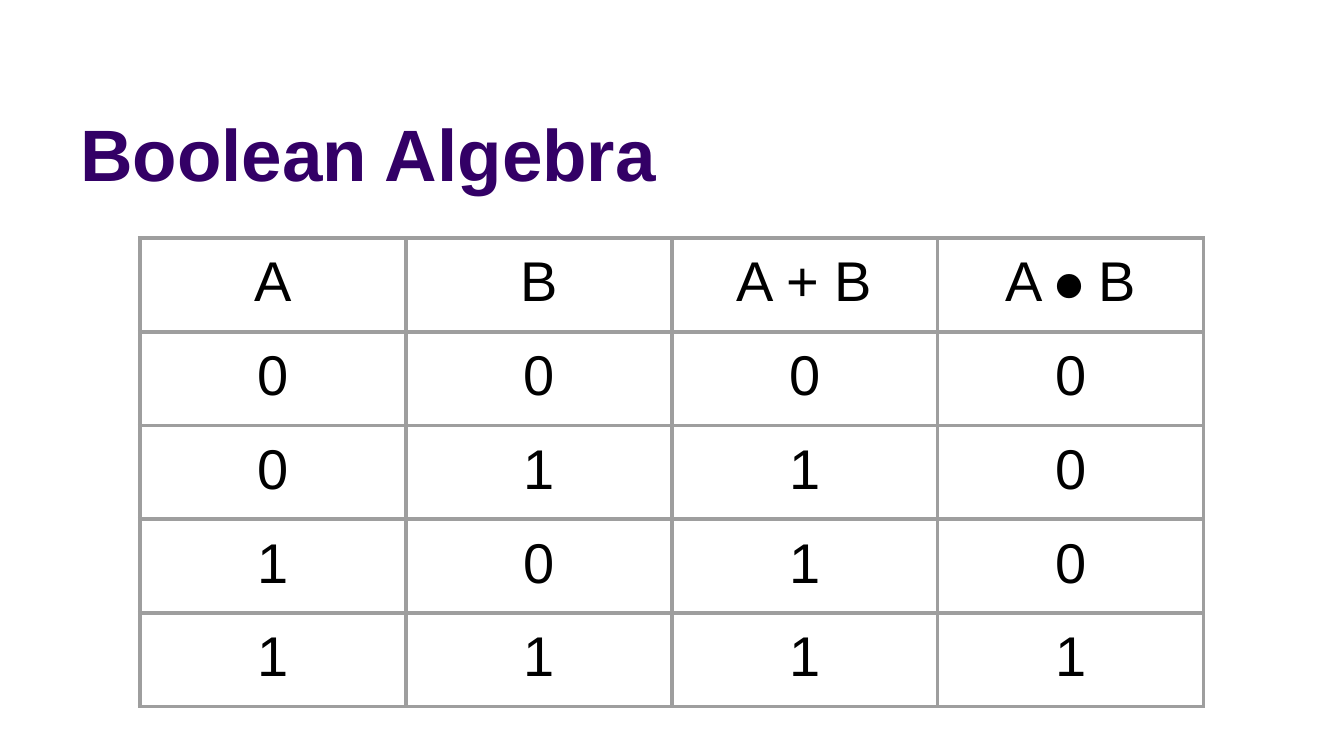
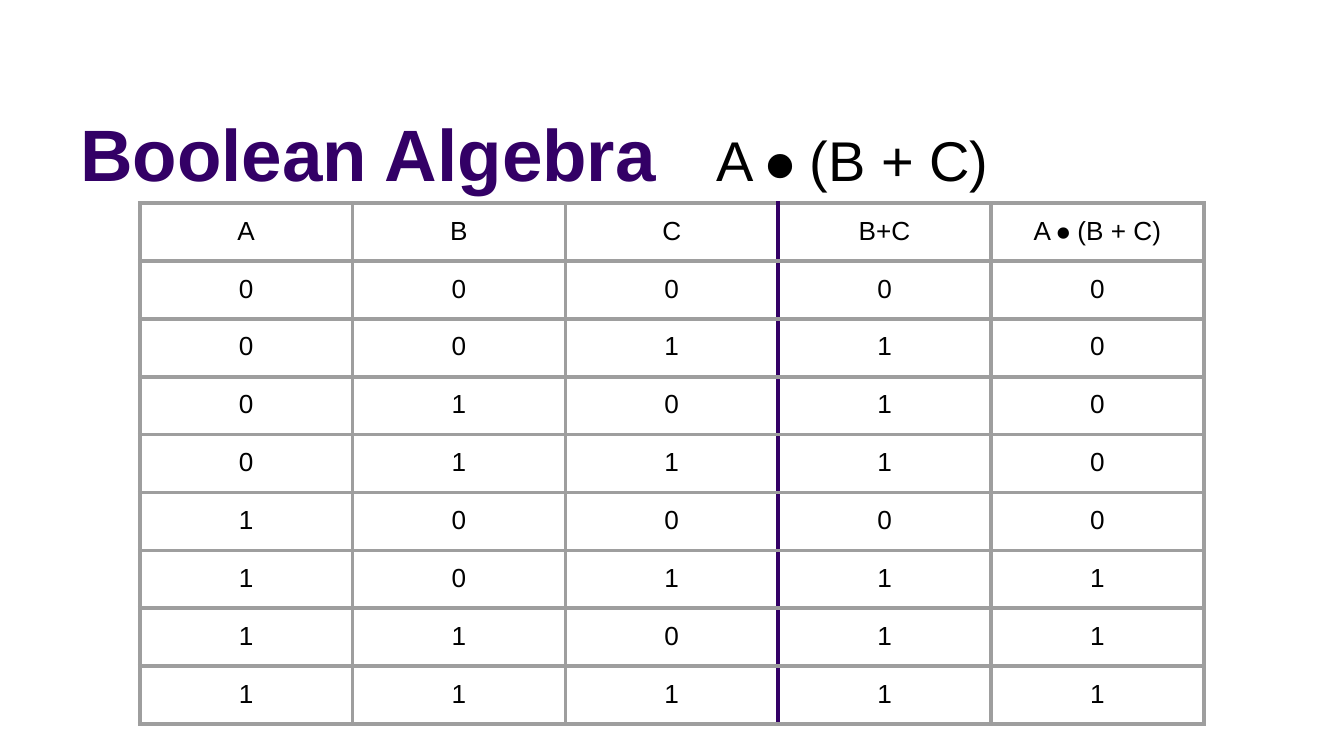
from dataclasses import dataclass
from itertools import product

from lxml.etree import SubElement as Sub
from pptx import Presentation
from pptx.dml.color import RGBColor as Rgb
from pptx.enum.text import MSO_ANCHOR as Anchor, PP_ALIGN as Align
from pptx.oxml.ns import qn
from pptx.util import Cm, Pt


@dataclass(frozen=True)
class Theme:
    """Colours, font and sizes shared by the slides."""
    purple: str = "330066"
    black: str = "000000"
    grey: str = "9E9E9E"
    font: str = "Arial"
    title_size: int = 39
    formula_size: int = 30
    large_cell: int = 30
    small_cell: int = 14
    border: float = 2.25


THEME = Theme()
TITLE = "Boolean Algebra"
FORMULA = "A \u2981 (B + C)"
TABLE_LEFT, TABLE_WIDTH, ROW_HEIGHT = 2.64, 20.11, 1.06


def add_span(para, text, size, color, bold=False):
    """Append one formatted run to a paragraph."""
    span = para.add_run()
    span.text = text
    span.font.name = THEME.font
    span.font.size = Pt(size)
    span.font.bold = bold
    span.font.color.rgb = Rgb.from_string(color)


def add_tab_stop(para, position):
    """Set a left tab stop at a distance from the text edge."""
    stops = Sub(para._p.get_or_add_pPr(), qn("a:tabLst"))
    Sub(stops, qn("a:tab"), pos=str(position), algn="l")


def add_title(page, formula=None):
    """Write the slide title, with an optional formula beside it."""
    box = page.shapes.add_textbox(Cm(1.27), Cm(0.25), Cm(22.99), Cm(3.59))
    frame = box.text_frame
    frame.word_wrap = True
    frame.vertical_anchor = Anchor.BOTTOM
    para = frame.paragraphs[0]
    add_span(para, TITLE, THEME.title_size, THEME.purple, True)
    if formula:
        add_tab_stop(para, Cm(12.02))
        add_span(para, "\t" + formula, THEME.formula_size, THEME.black)


def add_border(cell, side, color):
    """Draw one solid border of a cell."""
    line = Sub(cell._tc.get_or_add_tcPr(), qn("a:ln" + side), w=str(Pt(THEME.border)))
    fill = Sub(line, qn("a:solidFill"))
    Sub(fill, qn("a:srgbClr"), val=color)


def fill_cell(cell, text, size, accent_side):
    """Style a table cell and write its centred text."""
    for side in "LRTB":
        add_border(cell, side, THEME.purple if side == accent_side else THEME.grey)
    cell.fill.background()
    cell.margin_left = cell.margin_right = Cm(0.25)
    cell.margin_top = cell.margin_bottom = Cm(0.25)
    para = cell.text_frame.paragraphs[0]
    para.alignment = Align.CENTER
    add_span(para, text, size, THEME.black)


def add_truth_table(page, top, heads, rules, size, divider=None):
    """Tabulate the rules for every combination of their inputs."""
    inputs = len(heads) - len(rules)
    rows = [heads]
    for bits in product((0, 1), repeat=inputs):
        rows.append([str(value) for value in (*bits, *(rule(*bits) for rule in rules))])
    table = page.shapes.add_table(
        len(rows), len(heads), Cm(TABLE_LEFT), Cm(top),
        Cm(TABLE_WIDTH), Cm(ROW_HEIGHT * len(rows))).table
    table.first_row = table.horz_banding = False
    accents = {divider - 1: "R", divider: "L"} if divider else {}
    for row, texts in enumerate(rows):
        for column, text in enumerate(texts):
            fill_cell(table.cell(row, column), text, size, accents.get(column))


def add_page(deck):
    """Add a blank slide."""
    return deck.slides.add_slide(deck.slide_layouts[6])


def main():
    """Build and save the two slides."""
    deck = Presentation()
    deck.slide_width, deck.slide_height = Cm(25.4), Cm(14.29)

    page = add_page(deck)
    add_title(page)
    add_truth_table(page, 4.5, ["A", "B", "A + B", "A \u2981 B"],
                    [lambda a, b: a | b, lambda a, b: a & b], THEME.large_cell)

    page = add_page(deck)
    add_title(page, FORMULA)
    add_truth_table(page, 3.84, ["A", "B", "C", "B+C", FORMULA],
                    [lambda a, b, c: b | c, lambda a, b, c: a & (b | c)],
                    THEME.small_cell, divider=3)

    deck.save("out.pptx")


main()
